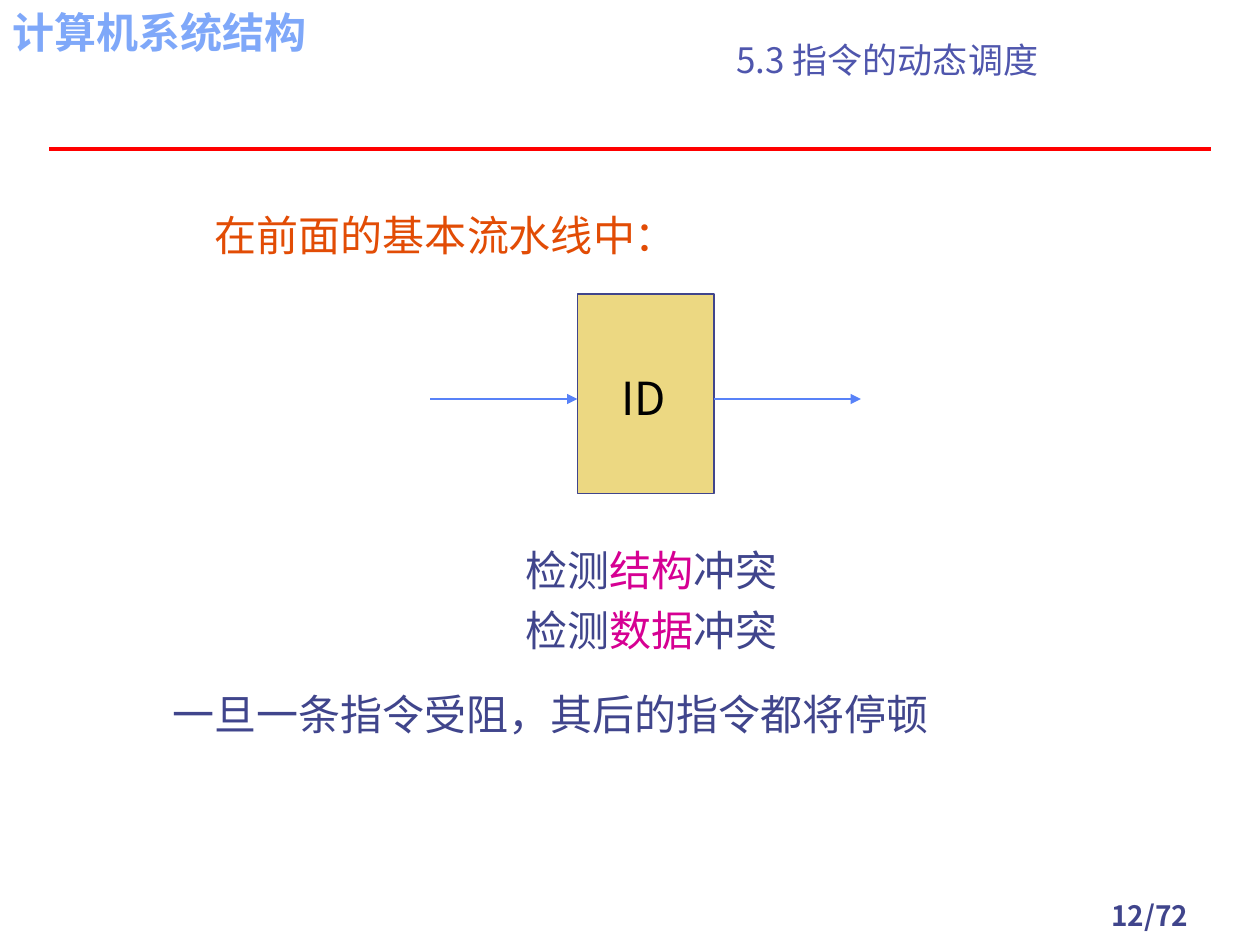
import dataclasses

import pptx
import pptx.dml.color
import pptx.enum.shapes
import pptx.enum.text
import pptx.oxml
import pptx.oxml.ns
import pptx.util

COLUMNS, ROWS = 120, 90
SLIDE_WIDTH, SLIDE_HEIGHT = pptx.util.Inches(10), pptx.util.Inches(7.5)
SANS, BODY = "Noto Sans CJK SC", "Roboto"
NAVY, MAGENTA, ORANGE, BLUE = "40458C", "D60093", "E24C05", "5882F8"
ALIGN = pptx.enum.text.PP_ALIGN
ANCHOR = pptx.enum.text.MSO_ANCHOR


@dataclasses.dataclass
class Box:
    """A region in grid columns and rows."""
    left: float
    top: float
    width: float
    height: float

    def emu(self):
        return (across(self.left), down(self.top),
                across(self.width), down(self.height))


def across(columns):
    return round(SLIDE_WIDTH * columns / COLUMNS)


def down(rows):
    return round(SLIDE_HEIGHT * rows / ROWS)


def color(hex_text):
    return pptx.dml.color.RGBColor.from_string(hex_text)


def add_span(para, text, size, font, ink, bold=False):
    span = para.add_run()
    span.text = text
    span.font.size = pptx.util.Pt(size)
    span.font.name = font
    span.font.bold = bold
    span.font.color.rgb = color(ink)
    east_asian = pptx.oxml.parse_xml(
        f'<a:ea {pptx.oxml.ns.nsdecls("a")} typeface="{font}"/>')
    span.font.fill  # the fill precedes the typefaces in the run properties
    span._r.get_or_add_rPr().find(
        pptx.oxml.ns.qn("a:latin")).addnext(east_asian)


def fill_text(shape, lines, size, font, bold=False, align=ALIGN.LEFT,
              spacing=1.0, anchor=ANCHOR.TOP):
    """Write lines, each a list of (text, colour) spans."""
    frame = shape.text_frame
    frame.word_wrap = True
    frame.auto_size = pptx.enum.text.MSO_AUTO_SIZE.NONE
    frame.vertical_anchor = anchor
    for index, line in enumerate(lines):
        para = frame.add_paragraph() if index else frame.paragraphs[0]
        para.alignment = align
        para.line_spacing = spacing
        for text, ink in line:
            add_span(para, text, size, font, ink, bold)


def add_text(page, box, lines, size, font, **style):
    shape = page.shapes.add_textbox(*box.emu())
    fill_text(shape, lines, size, font, **style)
    return shape


def add_rule(page, start, end, row, ink, weight, arrow=False):
    """Draw a horizontal line between two columns."""
    rule = page.shapes.add_connector(
        pptx.enum.shapes.MSO_CONNECTOR.STRAIGHT,
        across(start), down(row), across(end), down(row))
    rule.line.color.rgb = color(ink)
    rule.line.width = pptx.util.Pt(weight)
    namespace = pptx.oxml.ns.nsdecls("a")
    if arrow:
        rule.line._get_or_add_ln().append(pptx.oxml.parse_xml(
            f'<a:tailEnd {namespace} type="triangle"/>'))
    rule._element.spPr.append(
        pptx.oxml.parse_xml(f"<a:effectLst {namespace}/>"))


def add_frame(page, box):
    """Page number, red rule and course name around the content."""
    add_text(page, Box(box.left + 101, box.top + 85, 17, 4),
             [[("12/72", NAVY)]], 16, SANS, bold=True, align=ALIGN.CENTER)
    add_rule(page, box.left + 4.7, box.left + box.width - 4.7,
             box.top + 14.2, "FF0000", 2)
    add_text(page, Box(box.left, box.top, 34, 6.5),
             [[("计算机系统结构", "7FA8F9")]], 24, SANS, bold=True)


def set_title(page, box):
    title = page.shapes.title
    title.left, title.top, title.width, title.height = box.emu()
    fill_text(title, [[("5.3 指令的动态调度", "4F56AD")]], 20, SANS,
              align=ALIGN.CENTER, anchor=ANCHOR.BOTTOM)


def add_stage(page, box, arrow_length):
    """The ID stage with one arrow in and one arrow out."""
    stage = page.shapes.add_shape(
        pptx.enum.shapes.MSO_SHAPE.RECTANGLE, *box.emu())
    stage.shadow.inherit = False
    stage.fill.solid()
    stage.fill.fore_color.rgb = color("ECD882")
    stage.line.color.rgb = color(NAVY)
    stage.line.width = pptx.util.Pt(0.75)
    add_text(page, Box(box.left + 3, box.top + 6.6, 16, 6.4),
             [[("ID", "000000")]], 26, SANS)
    right, middle = box.left + box.width, box.top + 10
    for start, end in ((box.left - arrow_length, box.left),
                       (right, right + arrow_length)):
        add_rule(page, start, end, middle, BLUE, 1.5, arrow=True)


def add_conclusions(page, box):
    """Conflicts checked by the stage, then their consequence."""
    conflicts = [[("检测", NAVY), (kind, MAGENTA), ("冲突", NAVY)]
                 for kind in ("结构", "数据")]
    add_text(page, Box(box.left + 39.85, box.top, 29.3, 12.7),
             conflicts, 24, BODY, spacing=1.2)
    result = add_text(page, Box(box.left, box.top + 13.7, box.width, 13.3),
                      [[("一旦一条指令受阻，其后的指令都将停顿", NAVY)]],
                      24, BODY, spacing=1.2)
    result.text_frame.margin_left = across(7.4)


def main():
    deck = pptx.Presentation()
    deck.slide_width, deck.slide_height = SLIDE_WIDTH, SLIDE_HEIGHT
    page = deck.slides.add_slide(deck.slide_layouts.get_by_name("Title Only"))
    add_frame(page, Box(0, 0, COLUMNS, ROWS))
    set_title(page, Box(51, 3.25, 67, 5))
    add_text(page, Box(19.3, 17.9, 61.4, 7.6),
             [[("在前面的基本流水线中：", ORANGE)]], 24, BODY, spacing=1.3)
    add_stage(page, Box(55, 28, 13, 19), arrow_length=14)
    add_conclusions(page, Box(9, 50.3, 102, 27))
    deck.save("out.pptx")


if __name__ == "__main__":
    main()
